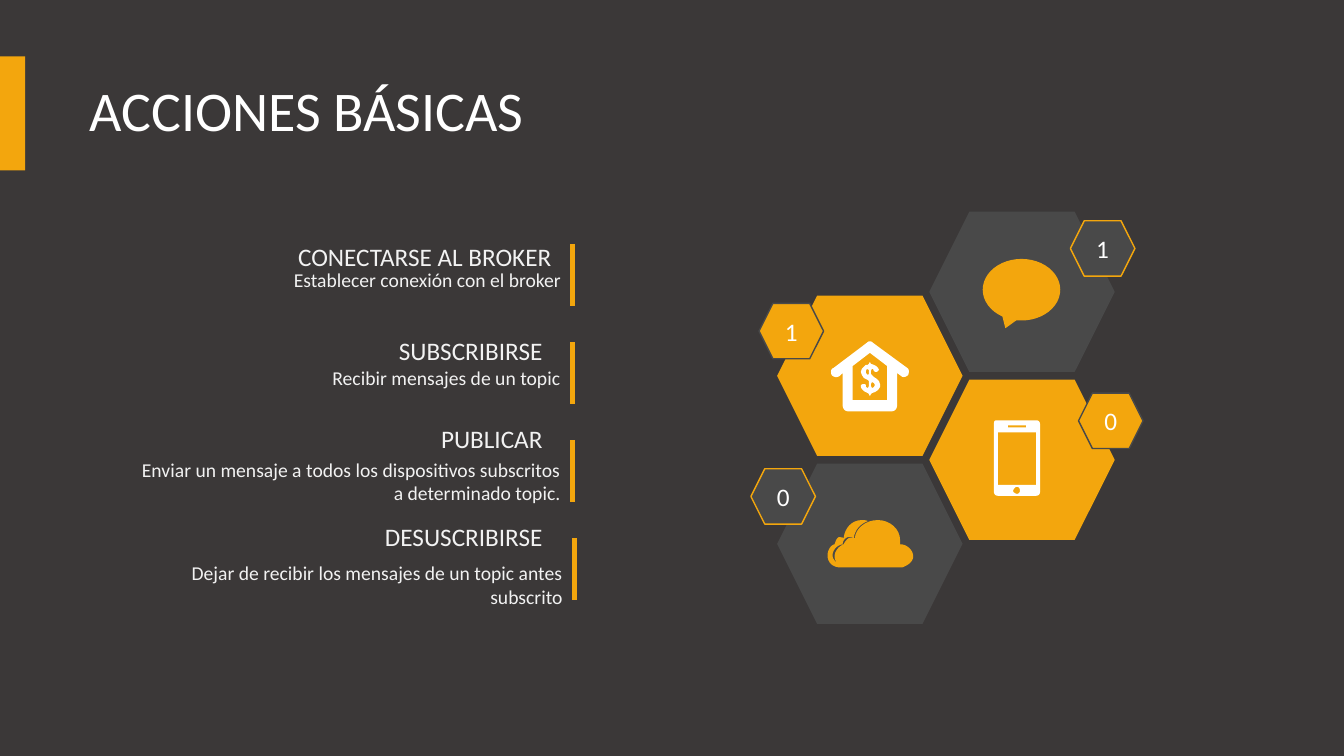
from lxml.etree import SubElement
from pptx import Presentation
from pptx.dml.color import RGBColor
from pptx.enum.shapes import MSO_CONNECTOR as Connector, MSO_SHAPE as Shape
from pptx.enum.text import MSO_ANCHOR as Anchor, MSO_AUTO_SIZE as AutoSize, PP_ALIGN as Align
from pptx.oxml.ns import qn
from pptx.util import Pt

COLORS = {
    "background": "3B3838",
    "accent": "F3A60D",
    "grey": "494949",
    "white": "FFFFFF",
    "text": "F2F2F2",
}

# Icon outlines: a start point, then (x, y) for a line or six numbers for a cubic curve.
ICON_UNIT = 0.72  # points per icon unit
CURVE_STEPS = 8

HOUSE = [
    [(9, 35), (12, 32), (12, 64), (12, 67, 14, 70, 17, 70), (61, 70),
     (64, 70, 66, 67, 66, 64), (66, 32), (70, 35), (71, 36, 72, 36, 73, 36),
     (74, 36, 76, 35, 77, 34), (78, 31, 78, 28, 76, 27), (42, 2),
     (40, 0, 38, 0, 36, 2), (3, 27), (0, 28, 0, 31, 1, 34), (3, 36, 6, 37, 9, 35)],
    [(39, 12), (56, 25), (56, 59), (22, 59), (22, 25)],
]
DOLLAR = [
    [(7, 26), (5, 25), (5, 23), (4, 22), (2, 22), (0, 23), (0, 25), (1, 27), (3, 29),
     (5, 30), (7, 31), (8, 32), (9, 34), (10, 32), (11, 31), (14, 30), (17, 28), (19, 25),
     (19, 22), (18, 19), (16, 17), (13, 15), (10, 12), (10, 9), (11, 7), (12, 7), (13, 9),
     (14, 10), (16, 10), (18, 8), (17, 6), (15, 4), (13, 3), (10, 2), (9, 0), (8, 2),
     (7, 3), (5, 3), (3, 5), (1, 7), (0, 10), (1, 13), (3, 16), (7, 18), (8, 19), (8, 24)],
    [(10, 22), (11, 20), (13, 21), (14, 23), (13, 25), (11, 26), (10, 24)],
    [(7, 13), (5, 11), (5, 9), (6, 7), (8, 8), (8, 12)],
]
CLOUD = [
    [(34, 0), (36, 0, 38, 0, 40, 1), (32, 4, 27, 10, 26, 18), (24, 17, 22, 17, 20, 17),
     (17, 18, 15, 21, 15, 24), (9, 25, 5, 30, 5, 35), (5, 39, 9, 43, 13, 45),
     (9, 43, 7, 40, 7, 36), (7, 31, 11, 26, 16, 24), (17, 22, 19, 19, 21, 18),
     (23, 18, 25, 18, 27, 18), (28, 8, 38, 0, 50, 0), (62, 0, 72, 9, 72, 20),
     (72, 21, 72, 23, 72, 24), (79, 24, 85, 30, 85, 36), (85, 41, 80, 45, 74, 47),
     (13, 47), (5, 47, 0, 42, 0, 35), (0, 30, 3, 25, 7, 24), (8, 21, 9, 18, 11, 17),
     (13, 17, 15, 17, 16, 18), (17, 8, 24, 0, 34, 0)],
]
PHONE = [
    [(42, 0), (44, 0, 46, 1, 46, 5), (46, 70), (46, 74, 44, 75, 41, 75), (5, 75),
     (2, 75, 0, 74, 0, 70), (0, 6), (0, 2, 0, 0, 3, 0)],
    [(42, 64), (42, 12), (4, 12), (4, 64)],
    [(14, 5), (32, 5), (32, 7), (14, 7)],
    [(26, 70), (26, 68, 25, 66, 23, 66), (21, 66, 20, 68, 19, 70),
     (19, 71, 21, 73, 23, 73), (25, 73, 26, 71, 26, 70)],
]


def flatten(outline):
    """Turn the lines and curves of an outline into a list of points in EMU."""
    points = [outline[0]]
    for segment in outline[1:]:
        if len(segment) == 2:
            points.append(segment)
            continue
        x0, y0 = points[-1]
        x1, y1, x2, y2, x3, y3 = segment
        for step in range(1, CURVE_STEPS + 1):
            t = step / CURVE_STEPS
            a, b, c, d = (1 - t) ** 3, 3 * t * (1 - t) ** 2, 3 * t * t * (1 - t), t ** 3
            points.append((a * x0 + b * x1 + c * x2 + d * x3,
                           a * y0 + b * y1 + c * y2 + d * y3))
    return [(Pt(x * ICON_UNIT), Pt(y * ICON_UNIT)) for x, y in points]


class SlideBuilder:
    font = "Calibri"

    def __init__(self, slide):
        self.slide = slide
        self.shapes = slide.shapes
        slide.background.fill.solid()
        slide.background.fill.fore_color.rgb = self.color("background")

    def color(self, name):
        return RGBColor.from_string(COLORS[name])

    def set_text(self, frame, text, size, color, align):
        frame.text = text
        frame.word_wrap = True
        paragraph = frame.paragraphs[0]
        paragraph.alignment = align
        for run in paragraph.runs:
            run.font.size = Pt(size)
            run.font.name = self.font
            run.font.color.rgb = self.color(color)

    def paint(self, shape, fill, line=None):
        shape.shadow.inherit = False
        shape.fill.solid()
        shape.fill.fore_color.rgb = self.color(fill)
        if line:
            shape.line.color.rgb = self.color(line)
            shape.line.width = Pt(1)
        else:
            shape.line.fill.background()

    def title(self, text, left, top, width, height):
        title = self.shapes.title
        title.left, title.top, title.width, title.height = map(Pt, (left, top, width, height))
        self.set_text(title.text_frame, text, 40, "white", Align.LEFT)
        title.text_frame.auto_size = AutoSize.NONE
        title.text_frame.vertical_anchor = Anchor.MIDDLE
        title.text_frame.paragraphs[0].line_spacing = 0.9

    def shape(self, kind, left, top, width, height, fill, line=None):
        shape = self.shapes.add_shape(kind, *map(Pt, (left, top, width, height)))
        self.paint(shape, fill, line)
        return shape

    def badge(self, digit, left, top, fill, line):
        badge = self.shape(Shape.HEXAGON, left, top, 46.1, 39.6, fill, line)
        self.set_text(badge.text_frame, digit, 18, "white", Align.CENTER)
        badge.text_frame.vertical_anchor = Anchor.MIDDLE

    def icon(self, outlines, left, top, fill):
        first, *holes = map(flatten, outlines)
        builder = self.shapes.build_freeform(*first[0])
        builder.add_line_segments(first[1:])
        for hole in holes:
            builder.move_to(*hole[0])
            builder.add_line_segments(hole[1:])
        self.paint(builder.convert_to_shape(Pt(left), Pt(top)), fill)

    def text(self, text, right, top, width, height, size):
        box = self.shapes.add_textbox(*map(Pt, (right - width, top, width, height)))
        self.set_text(box.text_frame, text, size, "text", Align.RIGHT)
        box.text_frame.auto_size = AutoSize.SHAPE_TO_FIT_TEXT

    def vertical_rule(self, x, top, length):
        rule = self.shapes.add_connector(
            Connector.STRAIGHT, Pt(x), Pt(top), Pt(x), Pt(top + length))
        rule.line.color.rgb = self.color("accent")
        rule.line.width = Pt(3)
        SubElement(rule._element.spPr, qn("a:effectLst"))


def main():
    deck = Presentation()
    deck.slide_width, deck.slide_height = Pt(960), Pt(540)
    page = SlideBuilder(deck.slides.add_slide(deck.slide_layouts[5]))

    page.shape(Shape.RECTANGLE, -0.7, 40.3, 18.7, 81.4, "accent")
    page.title("ACCIONES BÁSICAS", 56.9, 28.8, 837.4, 104.4)

    for column, row, fill in [(1, 2, "accent"), (1, 0, "grey"), (0, 3, "grey"), (0, 1, "accent")]:
        page.shape(Shape.HEXAGON, 555.1 + 108.7 * column, 151.2 + 60 * row, 132.5, 114.5, fill)

    page.icon(CLOUD, 591.1, 371.5, "accent")
    page.icon(HOUSE, 593.3, 243.4, "white")
    page.icon(DOLLAR, 614.9, 258.5, "white")
    page.icon(PHONE, 709.9, 300.2, "white")
    page.shape(Shape.OVAL_CALLOUT, 702, 185, 55.4, 44, "accent")

    for digit, left, top, fill, line in [
        ("1", 764.6, 157.7, "grey", "accent"),
        ("0", 536.4, 334.8, "grey", "accent"),
        ("0", 770.4, 280.8, "accent", "grey"),
        ("1", 542.2, 216.7, "accent", "grey"),
    ]:
        page.badge(digit, left, top, fill, line)

    # heading, its right edge, top and width; detail, its right edge, top and height; rule x
    actions = [
        ("CONECTARSE AL BROKER", 401, 168.5, 300.2,
         "Establecer conexión con el broker", 408, 187.9, 24.5, 409),
        ("SUBSCRIBIRSE", 394.6, 236.2, 171.4,
         "Recibir mensajes de un topic", 407.5, 257.8, 24.5, 409),
        ("PUBLICAR", 394.6, 298.8, 171.4,
         "Enviar un mensaje a todos los dispositivos subscritos a determinado topic.",
         407.5, 323.3, 41, 409),
        ("DESUSCRIBIRSE", 394.6, 368.6, 171.4,
         "Dejar de recibir los mensajes de un topic antes subscrito", 409, 397.4, 41, 410.4),
    ]
    for index, (heading, heading_right, heading_top, heading_width,
                detail, detail_right, detail_top, detail_height, rule_x) in enumerate(actions):
        page.text(heading, heading_right, heading_top, heading_width, 28.8, 18)
        page.text(detail, detail_right, detail_top, 313.9, detail_height, 14)
        page.vertical_rule(rule_x, 174.2 + 70.1 * index, 44.3)

    deck.save("out.pptx")


if __name__ == "__main__":
    main()
